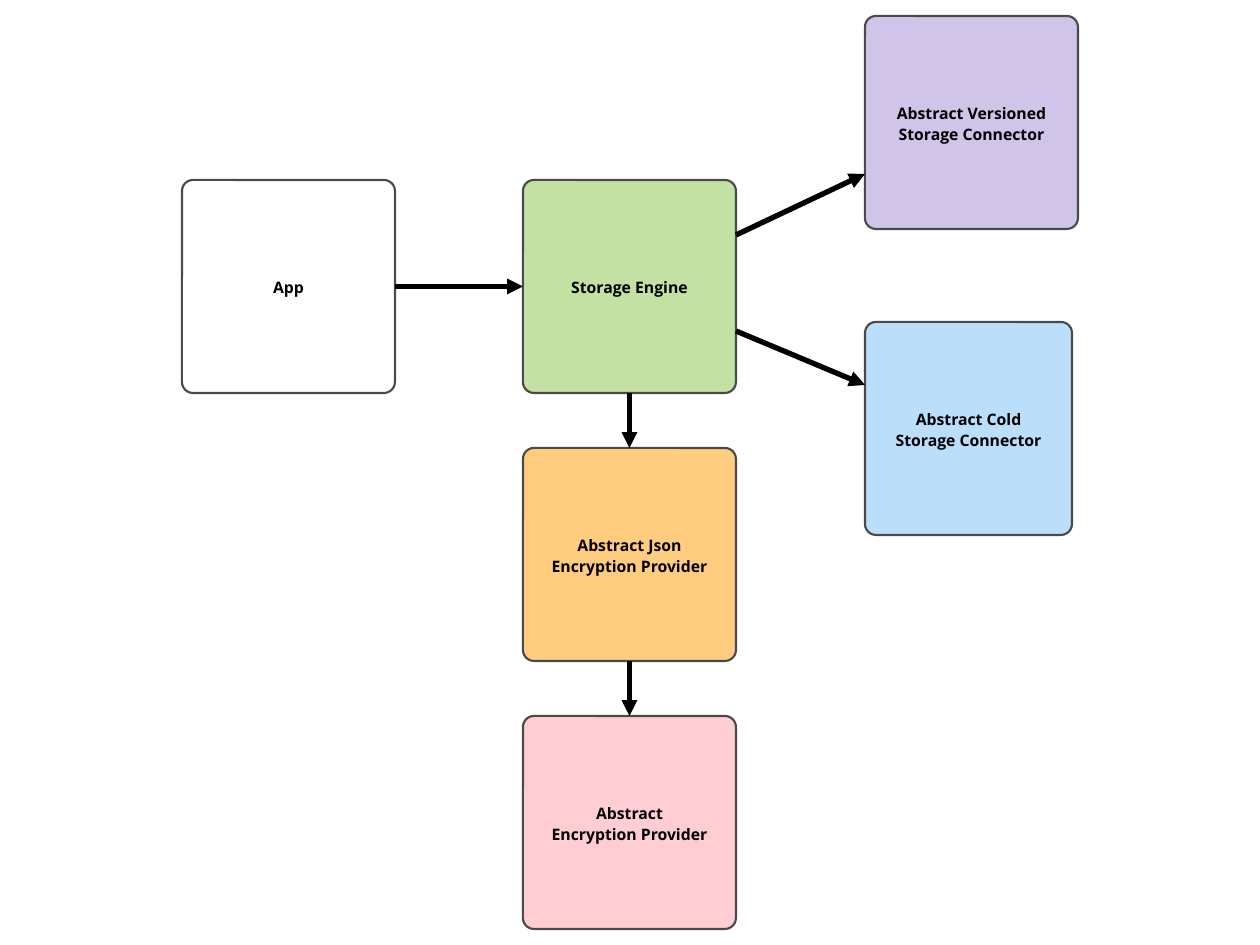
from lxml.etree import SubElement
from pptx import Presentation
from pptx.dml.color import RGBColor
from pptx.enum.shapes import MSO_CONNECTOR, MSO_SHAPE
from pptx.enum.text import MSO_ANCHOR, PP_ALIGN
from pptx.oxml.ns import qn
from pptx.util import Inches, Pt

PX = Inches(1) / 126
SIDE = 213
RADIUS = 11
LEFT_COL, MID_COL, RIGHT_COL = 182, 523, 865
TOP_ROW, ROW_STEP = 180, 268
TOP, LEFT, BOTTOM, RIGHT = range(4)

BLACK = RGBColor(0x00, 0x00, 0x00)
WHITE = RGBColor(0xFF, 0xFF, 0xFF)
OUTLINE = RGBColor(0x4A, 0x4A, 0x4A)
ORANGE = RGBColor(0xFF, 0xCC, 0x80)
PINK = RGBColor(0xFF, 0xCD, 0xD2)
BLUE = RGBColor(0xBB, 0xDE, 0xFB)
PURPLE = RGBColor(0xD1, 0xC4, 0xE9)
GREEN = RGBColor(0xC4, 0xE1, 0xA4)


def px(n):
    return round(n * PX)


def set_text(tf, text, size=9, color=BLACK, bold=True, font="Open Sans"):
    tf.word_wrap = True
    tf.vertical_anchor = MSO_ANCHOR.MIDDLE
    tf.margin_left = tf.margin_right = tf.margin_top = tf.margin_bottom = 0
    tf.text = text
    for p in tf.paragraphs:
        p.alignment = PP_ALIGN.CENTER
        p.line_spacing = 1.11
        for r in p.runs:
            r.font.name = font
            r.font.size = Pt(size)
            r.font.bold = bold
            r.font.color.rgb = color


def add_box(s, text, x, y, fill, width=SIDE):
    box = s.shapes.add_shape(MSO_SHAPE.ROUNDED_RECTANGLE,
                             px(x), px(y), px(width), px(SIDE))
    box.adjustments[0] = RADIUS / min(width, SIDE)
    box.shadow.inherit = False
    box.fill.solid()
    box.fill.fore_color.rgb = fill
    box.line.color.rgb = OUTLINE
    box.line.width = Pt(1.22)
    set_text(box.text_frame, text)
    return box


def add_arrow(s, x1=0, y1=0, x2=0, y2=0):
    arrow = s.shapes.add_connector(MSO_CONNECTOR.STRAIGHT,
                                   px(x1), px(y1), px(x2), px(y2))
    arrow.line.color.rgb = BLACK
    arrow.line.width = Pt(3.03)
    SubElement(arrow.line._get_or_add_ln(), qn("a:tailEnd"),
               type="triangle", w="med", len="med")
    SubElement(arrow._element.spPr, qn("a:effectLst"))
    return arrow


def join(s, start, start_site, end, end_site):
    """Draw an arrow between the middles of two box sides."""
    arrow = add_arrow(s)
    arrow.begin_connect(start, start_site)
    arrow.end_connect(end, end_site)


def main():
    prs = Presentation()
    prs.slide_width, prs.slide_height = Inches(10), Inches(7.5)
    s = prs.slides.add_slide(prs.slide_layouts[6])

    json_provider = add_box(s, "Abstract Json\nEncryption Provider",
                            MID_COL, TOP_ROW + ROW_STEP, ORANGE)
    provider = add_box(s, "Abstract\nEncryption Provider",
                       MID_COL, TOP_ROW + 2 * ROW_STEP, PINK)
    add_box(s, "Abstract Cold\nStorage Connector", RIGHT_COL, 322, BLUE, width=207)
    add_box(s, "Abstract Versioned\nStorage Connector", RIGHT_COL, 16, PURPLE)
    engine = add_box(s, "Storage Engine", MID_COL, TOP_ROW, GREEN)
    app = add_box(s, "App", LEFT_COL, TOP_ROW, WHITE)

    engine_right = MID_COL + SIDE
    add_arrow(s, engine_right, 331, RIGHT_COL, 385)
    add_arrow(s, engine_right, 235, RIGHT_COL, 174)
    join(s, engine, BOTTOM, json_provider, TOP)
    join(s, json_provider, BOTTOM, provider, TOP)
    join(s, app, RIGHT, engine, LEFT)

    prs.save("out.pptx")


if __name__ == "__main__":
    main()
